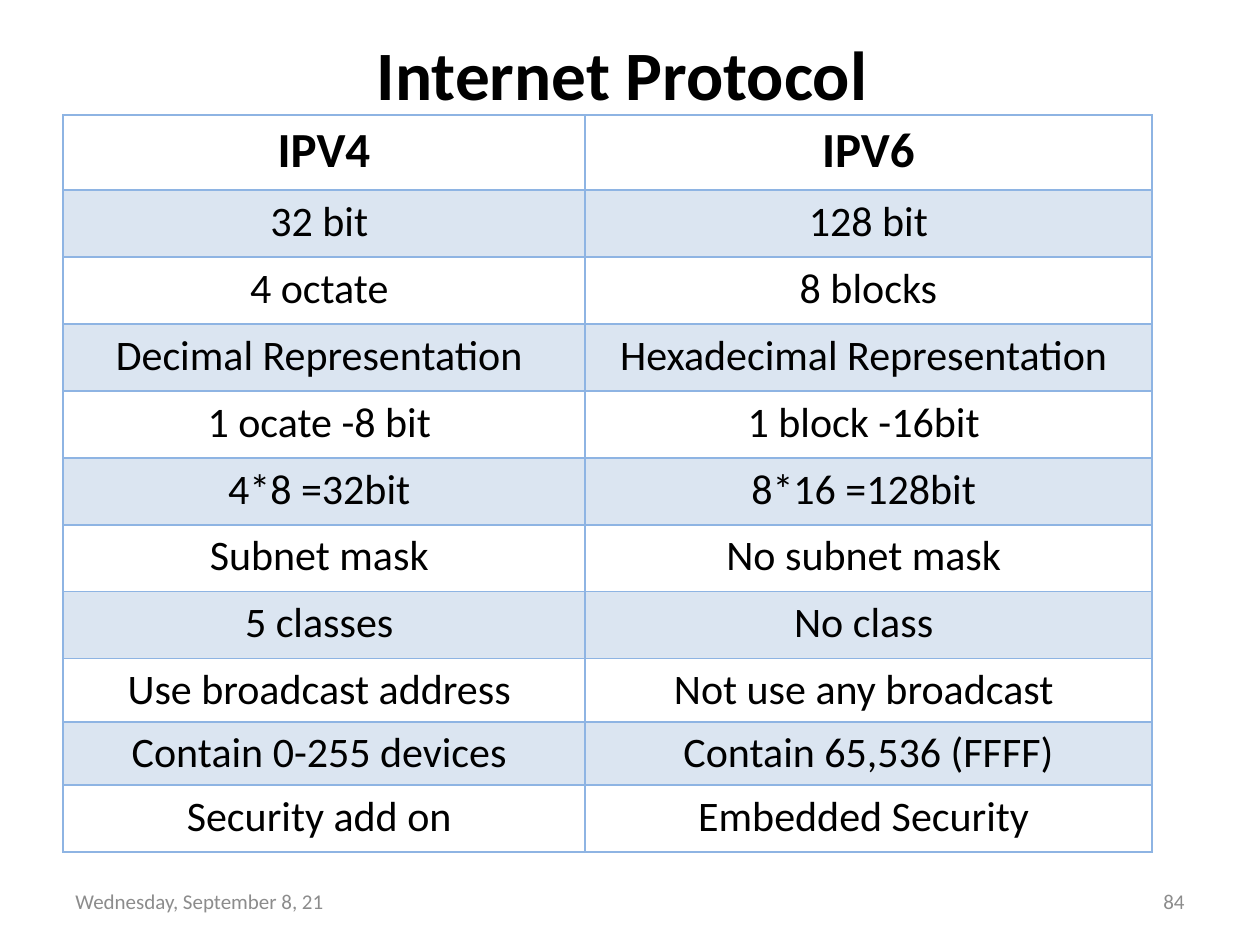
from dataclasses import dataclass

from lxml import etree
from pptx import Presentation
from pptx.dml.color import RGBColor
from pptx.enum.text import MSO_ANCHOR, PP_ALIGN
from pptx.oxml.ns import qn
from pptx.util import Emu, Pt

EMU_PER_PX = 914400 / 126
FONT = "Calibri"
BLACK = RGBColor(0x00, 0x00, 0x00)
GREY = RGBColor(0x8C, 0x8C, 0x8C)
BAND_BLUE = RGBColor(0x4F, 0x81, 0xBD)
BORDER_BLUE = RGBColor(0x8E, 0xB4, 0xE3)
BAND_OPACITY = 20
LEFT, CENTER, RIGHT = PP_ALIGN.LEFT, PP_ALIGN.CENTER, PP_ALIGN.RIGHT
MIDDLE = MSO_ANCHOR.MIDDLE


@dataclass(frozen=True)
class TextStyle:
    size: float
    color: RGBColor = BLACK
    bold: bool = False
    align: PP_ALIGN = CENTER


@dataclass(frozen=True)
class Label:
    text: str
    left: int
    top: int
    width: int
    height: int
    style: TextStyle


@dataclass(frozen=True)
class Comparison:
    ipv4: str
    ipv6: str
    height: int = 67


LABELS = [
    Label("Internet Protocol ", 63, 38, 1134, 69, TextStyle(39.6, bold=True)),
    Label("Wednesday, September 8, 21", 63, 876, 294, 50,
          TextStyle(12, GREY, align=LEFT)),
    Label("84", 903, 876, 294, 50, TextStyle(12, GREY, align=RIGHT)),
]
HEADER_STYLE = TextStyle(28, bold=True)
BODY_STYLE = TextStyle(24)
TABLE_LEFT, TABLE_TOP = 63, 115
COLUMN_WIDTHS = (522, 567)
COMPARISONS = [
    Comparison("IPV4", "IPV6", 75),
    Comparison("32 bit ", "128 bit"),
    Comparison("4 octate ", "8 blocks"),
    Comparison("Decimal Representation ", "Hexadecimal Representation "),
    Comparison("1 ocate -8 bit ", "1 block -16bit "),
    Comparison("4*8 =32bit ", "8*16 =128bit "),
    Comparison("Subnet mask ", "No subnet mask "),
    Comparison("5 classes ", "No class "),
    Comparison("Use broadcast address ", "Not use any broadcast ", 62),
    Comparison("Contain 0-255 devices ", "Contain 65,536 (FFFF)", 59),
    Comparison("Security add on ", "Embedded Security "),
]


def px(length: int) -> Emu:
    return Emu(round(length * EMU_PER_PX))


def write_text(frame, text: str, style: TextStyle) -> None:
    frame.text = text
    paragraph = frame.paragraphs[0]
    paragraph.alignment = style.align
    for run in paragraph.runs:
        run.font.name = FONT
        run.font.size = Pt(style.size)
        run.font.bold = style.bold
        run.font.color.rgb = style.color


def draw_label(slide, label: Label) -> None:
    box = slide.shapes.add_textbox(px(label.left), px(label.top),
                                   px(label.width), px(label.height))
    box.text_frame.word_wrap = True
    box.text_frame.vertical_anchor = MIDDLE
    write_text(box.text_frame, label.text, label.style)


def fill_cell(cell, banded: bool) -> None:
    if not banded:
        cell.fill.background()
        return
    cell.fill.solid()
    cell.fill.fore_color.rgb = BAND_BLUE
    color = cell._tc.tcPr.find(f"{qn('a:solidFill')}/{qn('a:srgbClr')}")
    etree.SubElement(color, qn("a:alpha"), val=str(BAND_OPACITY * 1000))


def border_cell(cell) -> None:
    properties = cell._tc.get_or_add_tcPr()
    for position, side in enumerate(("lnL", "lnR", "lnT", "lnB")):
        line = etree.Element(qn(f"a:{side}"), w=str(Pt(1)))
        fill = etree.SubElement(line, qn("a:solidFill"))
        etree.SubElement(fill, qn("a:srgbClr"), val=str(BORDER_BLUE))
        properties.insert(position, line)


def draw_comparison_table(slide, comparisons: list[Comparison]) -> None:
    table = slide.shapes.add_table(
        len(comparisons), len(COLUMN_WIDTHS), px(TABLE_LEFT), px(TABLE_TOP),
        px(sum(COLUMN_WIDTHS)), px(sum(c.height for c in comparisons))).table
    table.first_row = False
    table.horz_banding = False
    for column, width in zip(table.columns, COLUMN_WIDTHS):
        column.width = px(width)
    for index, (row, comparison) in enumerate(zip(table.rows, comparisons)):
        row.height = px(comparison.height)
        style = BODY_STYLE if index else HEADER_STYLE
        for cell, text in zip(row.cells, (comparison.ipv4, comparison.ipv6)):
            write_text(cell.text_frame, text, style)
            fill_cell(cell, banded=index % 2 == 1)
            border_cell(cell)


def main() -> None:
    presentation = Presentation()
    presentation.slide_width = px(1260)
    presentation.slide_height = px(945)
    slide = presentation.slides.add_slide(presentation.slide_layouts[6])
    for label in LABELS:
        draw_label(slide, label)
    draw_comparison_table(slide, COMPARISONS)
    presentation.save("out.pptx")


if __name__ == "__main__":
    main()
